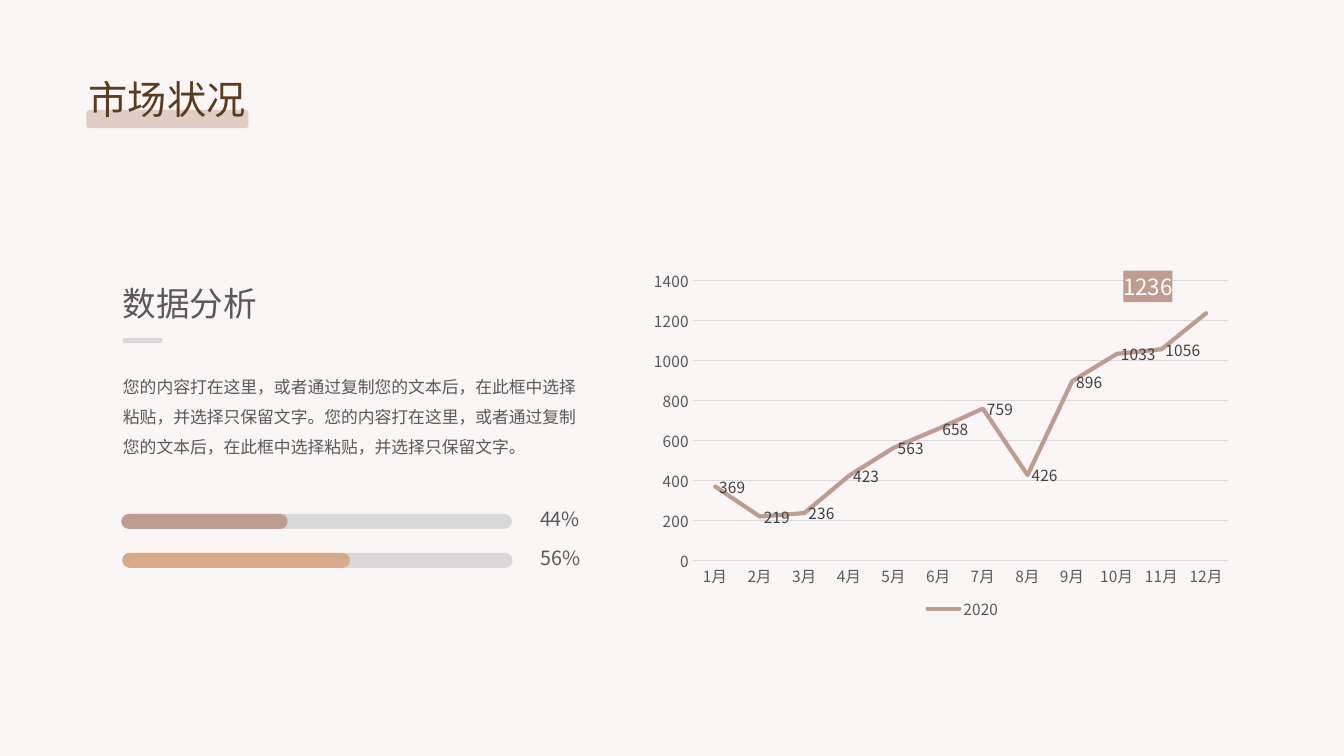
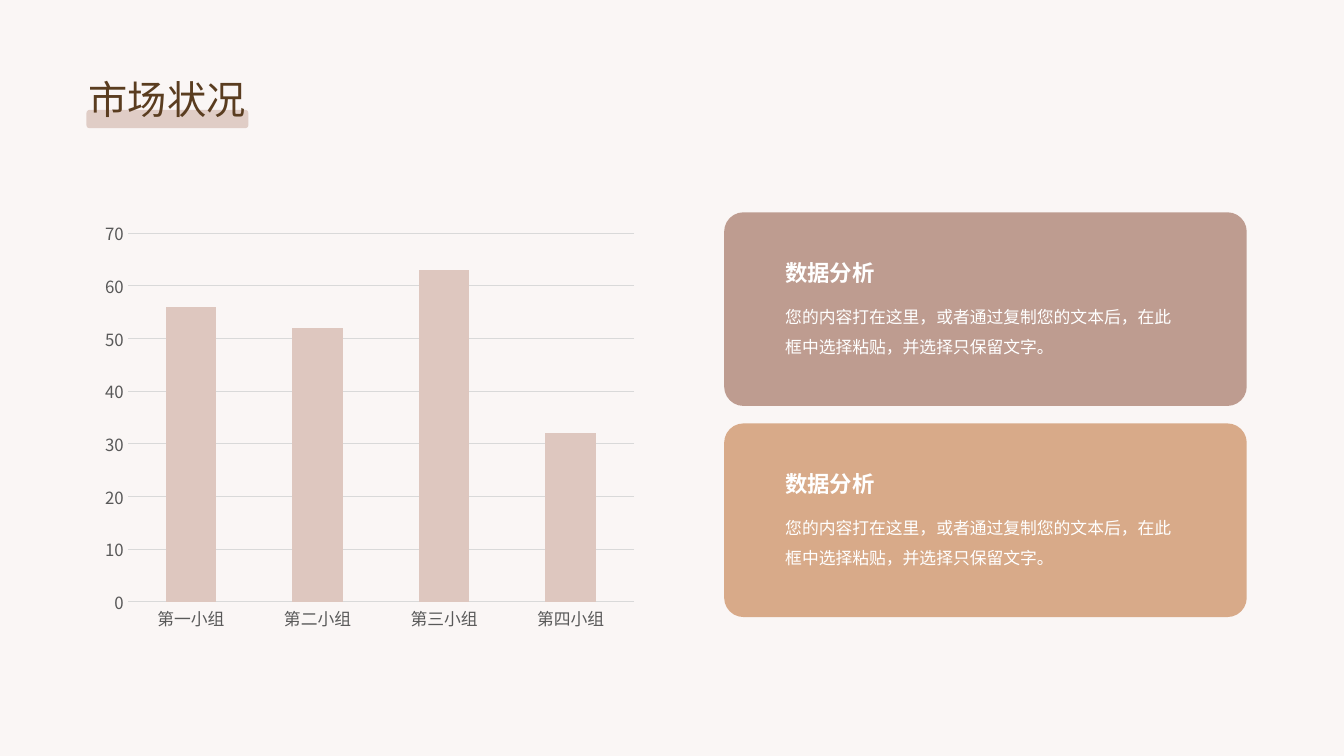
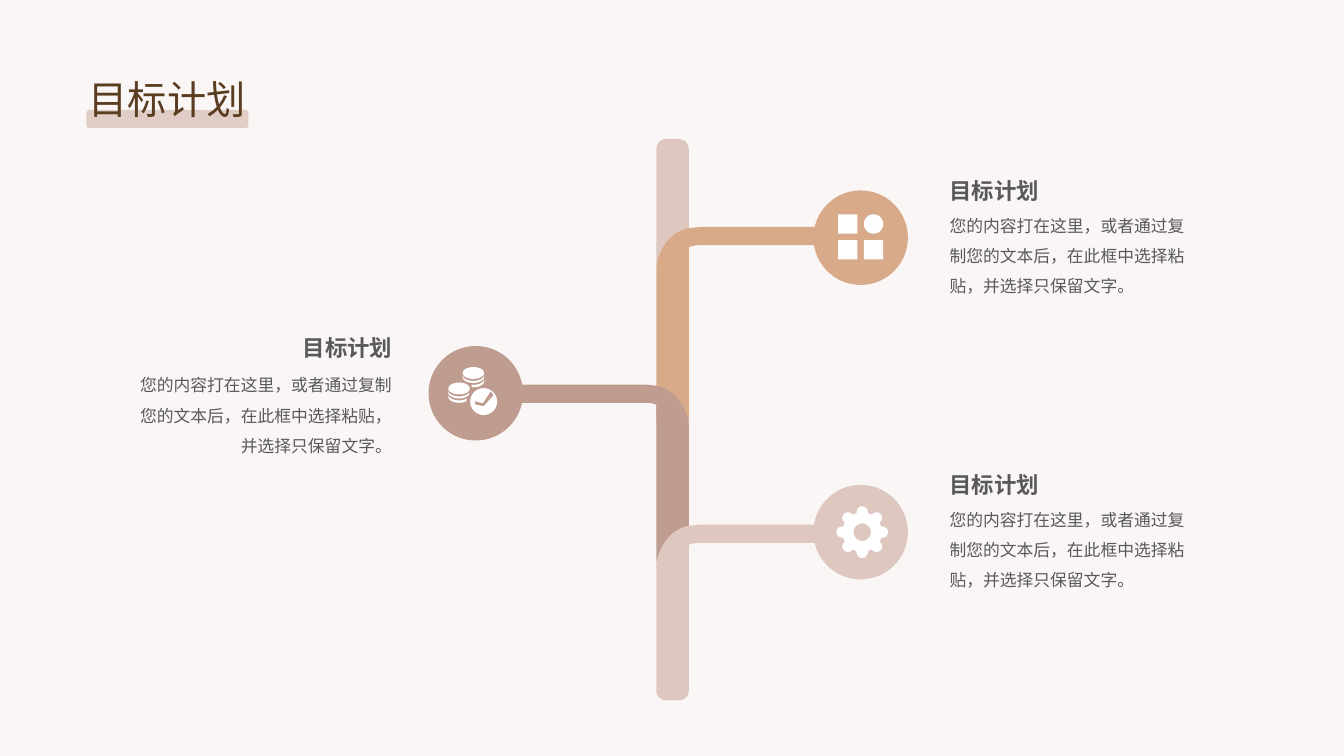
"""Build three slides: a monthly line chart, a group column chart and a branching goal plan."""
from dataclasses import dataclass
from math import cos, pi, sin

from lxml import etree
from pptx import Presentation
from pptx import util as u
from pptx.chart.data import CategoryChartData
from pptx.dml.color import RGBColor
from pptx.enum import chart as charts, shapes, text
from pptx.oxml.ns import qn

Cm = u.Cm


@dataclass(frozen=True)
class Theme:
    font: str = "Noto Sans CJK SC"
    paper: str = "FAF6F5"
    title: str = "5A3D20"
    band: str = "E0CDC6"
    ink: str = "595959"
    label: str = "404040"
    grey: str = "D9D9D9"
    white: str = "FFFFFF"
    rose: str = "BE9C90"
    sand: str = "D8AA89"
    blush: str = "DEC7BF"
    title_size: int = 28
    section_size: int = 24
    heading_size: int = 16
    percent_size: int = 14
    body_size: int = 12
    small_size: int = 11


T = Theme()
PIECE = shapes.MSO_SHAPE
ALIGN = text.PP_ALIGN

SENTENCE = "您的内容打在这里，或者通过复制您的文本后，在此框中选择粘贴，并选择只保留文字。"
MARKET, ANALYSIS, GOAL = "市场状况", "数据分析", "目标计划"

MONTHS = [f"{month}月" for month in range(1, 13)]
MONTH_VALUES = [369, 219, 236, 423, 563, 658, 759, 426, 896, 1033, 1056, 1236]
MONTH_CHART = (16.15, 6.6, 15.06, 9.32)
GROUPS = ["第一小组", "第二小组", "第三小组", "第四小组"]
GROUP_VALUES = [56, 52, 63, 32]
GROUP_CHART = (2.39, 5.36, 13.87, 10.77)

PROGRESS = [("44%", 4.19, T.rose), ("56%", 5.74, T.sand)]
CARDS = [T.rose, T.sand]

TRUNK_X, TRUNK_HALF = 16.95, 0.41
BRANCHES = [
    dict(color=T.sand, side=1, top=5.72, foot=10.64, corner=0, node=(21.69, 5.99),
         text_x=23.93, width=6.3, heading_y=4.47, body_y=5.18, align=ALIGN.LEFT),
    dict(color=T.rose, side=-1, top=9.69, foot=14.15, corner=0, node=(11.99, 9.91),
         text_x=3.53, width=6.35, heading_y=8.43, body_y=9.2, align=ALIGN.RIGHT),
    dict(color=T.blush, side=1, top=13.22, foot=17.65, corner=0.25, node=(21.69, 13.41),
         text_x=23.93, width=6.3, heading_y=11.88, body_y=12.59, align=ALIGN.LEFT),
]

COINS = [
    (-0.06, -0.51, [(0.05, 0.1, 0, pi), (0.15, 0.21, 0, 0.55 * pi)]),
    (-0.42, -0.12, [(0.05, 0.1, 0.14 * pi, pi), (0.15, 0.21, 0.25 * pi, pi)]),
]
CHECK = [(-0.02, 0.28), (0.2, 0.33), (0.45, 0.05), (0.38, -0.05), (0.18, 0.25), (-0.02, 0.2)]


def rgb(value):
    return RGBColor.from_string(value)


def style(font, size, color, bold=False):
    font.name, font.size, font.bold = T.font, u.Pt(size), bold
    font.color.rgb = rgb(color)


def add_east_asian(element):
    for latin in list(element.iter(qn("a:latin"))):
        latin.addnext(etree.Element(qn("a:ea"), typeface=T.font))


def add_text(page, words, at, size, color, bold=False, align=ALIGN.LEFT,
             spacing=None, fitted=False):
    box = page.shapes.add_textbox(*map(Cm, at))
    frame = box.text_frame
    frame.word_wrap = not fitted
    frame.auto_size = text.MSO_AUTO_SIZE.SHAPE_TO_FIT_TEXT
    if not fitted:
        frame.margin_left = frame.margin_right = frame.margin_top = frame.margin_bottom = 0
    para = frame.paragraphs[0]
    para.text, para.alignment = words, align
    if spacing:
        para.line_spacing = spacing
    style(para.font, size, color, bold)
    add_east_asian(para._p)


def paint(shape, color):
    shape.shadow.inherit = False
    shape.fill.solid()
    shape.fill.fore_color.rgb = rgb(color)
    shape.line.fill.background()


def add_piece(page, kind, at, color, corner=None):
    shape = page.shapes.add_shape(kind, *map(Cm, at))
    if corner is not None:
        shape.adjustments[0] = corner
    paint(shape, color)


def add_outline(page, contours, color):
    contours = [[(Cm(x), Cm(y)) for x, y in points] for points in contours]
    builder = page.shapes.build_freeform(*contours[0][0])
    for index, points in enumerate(contours):
        if index:
            builder.move_to(*points[0])
        builder.add_line_segments(points[1:], close=True)
    paint(builder.convert_to_shape(), color)


def bezier(a, b, c, d, steps=16):
    curve = []
    for step in range(steps + 1):
        t = step / steps
        s = 1 - t
        curve.append(tuple(s**3 * p + 3 * s * s * t * q + 3 * s * t * t * r + t**3 * w
                           for p, q, r, w in zip(a, b, c, d)))
    return curve


def arc(x, y, rx, ry, start, end, steps=24):
    angles = [start + (end - start) * step / steps for step in range(steps + 1)]
    return [(x + rx * cos(angle), y + ry * sin(angle)) for angle in angles]


def add_page(deck, title):
    page = deck.slides.add_slide(deck.slide_layouts[6])
    add_piece(page, PIECE.ROUNDED_RECTANGLE, (2.18, 2.77, 4.08, 0.46), T.band)
    add_text(page, title, (1.96, 1.78, 4.5, 1.45), T.title_size, T.title,
             align=ALIGN.CENTER, fitted=True)
    return page


def set_layout(parent, index, chart_at, place, **modes):
    for old in parent.findall(qn("c:layout")):
        parent.remove(old)
    layout = etree.Element(qn("c:layout"))
    manual = etree.SubElement(layout, qn("c:manualLayout"))
    width, height = chart_at[2:]
    shares = {key: length / whole
              for key, length, whole in zip("xywh", place, (width, height) * 2)}
    for key, value in (modes | shares).items():
        etree.SubElement(manual, qn(f"c:{key}"), val=str(value))
    parent.insert(index, layout)


def add_chart(page, kind, at, categories, name, values, size, plot_area):
    data = CategoryChartData()
    data.categories = categories
    data.add_series(name, values)
    chart = page.shapes.add_chart(kind, *map(Cm, at), data).chart
    chart.has_title = chart.has_legend = False
    style(chart.font, size, T.ink)
    for axis in (chart.category_axis, chart.value_axis):
        axis.major_tick_mark = axis.minor_tick_mark = charts.XL_TICK_MARK.NONE
        axis.format.line.fill.background()
        style(axis.tick_labels.font, size, T.ink)
    grid = chart.value_axis.major_gridlines.format.line
    grid.color.rgb, grid.width = rgb(T.grey), u.Pt(0.75)
    chart.plots[0].vary_by_categories = False
    set_layout(chart._chartSpace.chart.plotArea, 0, at, plot_area,
               layoutTarget="inner", xMode="edge", yMode="edge")
    return chart


def highlight_last(series):
    label = series.points[len(MONTH_VALUES) - 1].data_label
    style(label.font, T.heading_size, T.white)
    label.position = charts.XL_LABEL_POSITION.ABOVE
    element = series._element.find(f".//{qn('c:dLbl')}")
    set_layout(element, 1, MONTH_CHART, (-1.47, -0.18))
    properties = etree.Element(qn("c:spPr"))
    fill = etree.SubElement(properties, qn("a:solidFill"))
    etree.SubElement(fill, qn("a:srgbClr"), val=T.rose)
    element.find(qn("c:txPr")).addprevious(properties)


def hide_leader_lines(labels):
    for flag in labels.iter(qn("c:showLeaderLines")):
        flag.set("val", "0")
    space = "http://schemas.microsoft.com/office/drawing/2012/chart"
    extensions = etree.SubElement(labels, qn("c:extLst"))
    extension = etree.SubElement(extensions, qn("c:ext"), nsmap={"c15": space},
                                 uri="{CE6537A1-D6FC-4f65-9D91-7224C49458BB}")
    etree.SubElement(extension, f"{{{space}}}showLeaderLines", val="0")


def add_month_chart(page):
    chart = add_chart(page, charts.XL_CHART_TYPE.LINE, MONTH_CHART, MONTHS,
                      "2020", MONTH_VALUES, T.small_size, (1.31, 0.47, 13.5, 7.05))
    axis_line = chart.category_axis.format.line
    axis_line.color.rgb, axis_line.width = rgb(T.grey), u.Pt(0.75)
    chart.has_legend = True
    chart.legend.position = charts.XL_LEGEND_POSITION.BOTTOM
    chart.legend.include_in_layout = False
    style(chart.legend.font, T.small_size, T.ink)
    set_layout(chart.legend._element, 1, MONTH_CHART, (7.1, 8.36), xMode="edge", yMode="edge")
    series = chart.plots[0].series[0]
    series.smooth = False
    series.marker.style = charts.XL_MARKER_STYLE.NONE
    series.format.line.color.rgb = rgb(T.rose)
    series.format.line.width = u.Pt(3)
    series._element.find(f".//{qn('a:ln')}").set("cap", "rnd")
    labels = series.data_labels
    labels.show_value = True
    labels.position = charts.XL_LABEL_POSITION.RIGHT
    style(labels.font, T.small_size, T.label)
    highlight_last(series)
    hide_leader_lines(series._element.find(qn("c:dLbls")))
    add_east_asian(chart._chartSpace)


def build_trend(deck):
    page = add_page(deck, MARKET)
    add_month_chart(page)
    add_text(page, ANALYSIS, (2.84, 7.01, 3.94, 1.27), T.section_size, T.ink, fitted=True)
    add_piece(page, PIECE.RECTANGLE, (3.1, 8.52, 0.99, 0.13), T.grey)
    add_text(page, SENTENCE * 2, (3.1, 9.23, 11.68, 2.21), T.body_size, T.ink, spacing=1.5)
    for row, (percent, filled, color) in enumerate(PROGRESS):
        x, y = 3.06 + 0.02 * row, 12.95 + 0.98 * row
        for width, tint in ((9.84, T.grey), (filled, color)):
            add_piece(page, PIECE.ROUNDED_RECTANGLE, (x, y, width, 0.38), tint, 0.5)
        add_text(page, percent, (x + 10.3, y - 0.3, 1.55, 0.86), T.percent_size, T.ink,
                 fitted=True)


def build_groups(deck):
    page = add_page(deck, MARKET)
    chart = add_chart(page, charts.XL_CHART_TYPE.COLUMN_CLUSTERED, GROUP_CHART,
                      GROUPS, "Series 1", GROUP_VALUES, T.body_size, (0.83, 0.52, 12.76, 9.29))
    chart.plots[0].gap_width = 150
    fill = chart.plots[0].series[0].format.fill
    fill.solid()
    fill.fore_color.rgb = rgb(T.blush)
    add_east_asian(chart._chartSpace)
    for row, color in enumerate(CARDS):
        y = 5.35 + 5.32 * row
        add_piece(page, PIECE.ROUNDED_RECTANGLE, (18.25, y, 13.17, 4.88), color, 0.1)
        add_text(page, ANALYSIS, (19.79, y + 1.18, 4.72, 0.69), T.heading_size, T.white, True)
        add_text(page, SENTENCE, (19.79, y + 2.12, 10.11, 1.45), T.body_size, T.white,
                 spacing=1.5)


def add_branch(page, color, side, top, foot, corner):
    edge, drop = TRUNK_HALF, foot - top
    outer = bezier((-edge, 1), (-0.36, 0.66), (-0.13, 0.13), (edge, 0.03))
    inner = bezier((0.7, 0.46), (0.58, 0.46), (0.48, 0.48), (edge, 0.51))
    base = [(edge, drop), (-edge, drop)]
    if corner:
        base = [point for turn, x in enumerate((edge - corner, corner - edge))
                for point in arc(x, drop - corner, corner, corner,
                                 turn * pi / 2, (turn + 1) * pi / 2, 8)]
    points = [*outer, (0.7, 0), (4.7, 0), (4.7, 0.46), *inner, *base]
    add_outline(page, [[(TRUNK_X + side * x, top + y) for x, y in points]], color)


def add_tiles(page, x, y):
    left, top, side, step = x - 0.57, y - 0.59, 0.49, 0.65
    contours = []
    for index in range(4):
        row, column = divmod(index, 2)
        a, b = left + step * column, top + step * row
        if index == 1:
            contours.append(arc(a + side / 2, b + side / 2, side / 2, side / 2, 0, 2 * pi))
        else:
            contours.append([(a, b), (a + side, b), (a + side, b + side), (a, b + side)])
    add_outline(page, contours, T.white)


def add_coins(page, x, y):
    contours = []
    for dx, dy, bands in COINS:
        cx, cy = x + dx, y + dy
        contours.append(arc(cx, cy, 0.27, 0.15, 0, 2 * pi))
        for upper, lower, start, end in bands:
            contours.append(arc(cx, cy + upper, 0.27, 0.15, start, end)
                            + arc(cx, cy + lower, 0.27, 0.15, end, start))
    contours.append(arc(x + 0.2, y + 0.21, 0.34, 0.34, 0, 2 * pi))
    contours.append([(x + dx, y + dy) for dx, dy in CHECK])
    add_outline(page, contours, T.white)


def add_gear(page, x, y):
    x += 0.04
    tooth = [(0.48, -0.14), *arc(0.51, 0, 0.14, 0.14, -pi / 2, pi / 2, 12), (0.48, 0.14)]
    rim = []
    for index in range(8):
        c, s = cos(index * pi / 4), sin(index * pi / 4)
        rim += [(x + a * c - b * s, y + a * s + b * c) for a, b in tooth]
    add_outline(page, [rim, arc(x, y, 0.22, 0.22, 2 * pi, 0)], T.white)


def build_goals(deck):
    page = add_page(deck, GOAL)
    add_piece(page, PIECE.ROUND_2_SAME_RECTANGLE,
              (TRUNK_X - TRUNK_HALF, 3.5, 2 * TRUNK_HALF, 3.17), T.blush, 0.31)
    for branch in reversed(BRANCHES[:2]):
        if branch["side"] > 0:
            add_branch(page, *(branch[key] for key in ("color", "side", "top", "foot", "corner")))
    for branch in BRANCHES[1:]:
        add_branch(page, *(branch[key] for key in ("color", "side", "top", "foot", "corner")))
    for branch, add_icon in zip(BRANCHES, (add_tiles, add_coins, add_gear)):
        x, y = branch["node"]
        add_piece(page, PIECE.OVAL, (x - 1.19, y - 1.19, 2.38, 2.38), branch["color"])
        add_icon(page, x, y)
        left, width, align = branch["text_x"], branch["width"], branch["align"]
        add_text(page, GOAL, (left, branch["heading_y"], width, 0.69), T.heading_size, T.ink,
                 True, align)
        add_text(page, SENTENCE, (left, branch["body_y"], width, 2.31), T.body_size, T.ink,
                 align=align, spacing=1.5)


def main():
    deck = Presentation()
    deck.slide_width, deck.slide_height = Cm(33.87), Cm(19.05)
    backdrop = deck.slide_master.background.fill
    backdrop.solid()
    backdrop.fore_color.rgb = rgb(T.paper)
    for build in (build_trend, build_groups, build_goals):
        build(deck)
    deck.save("out.pptx")


if __name__ == "__main__":
    main()
